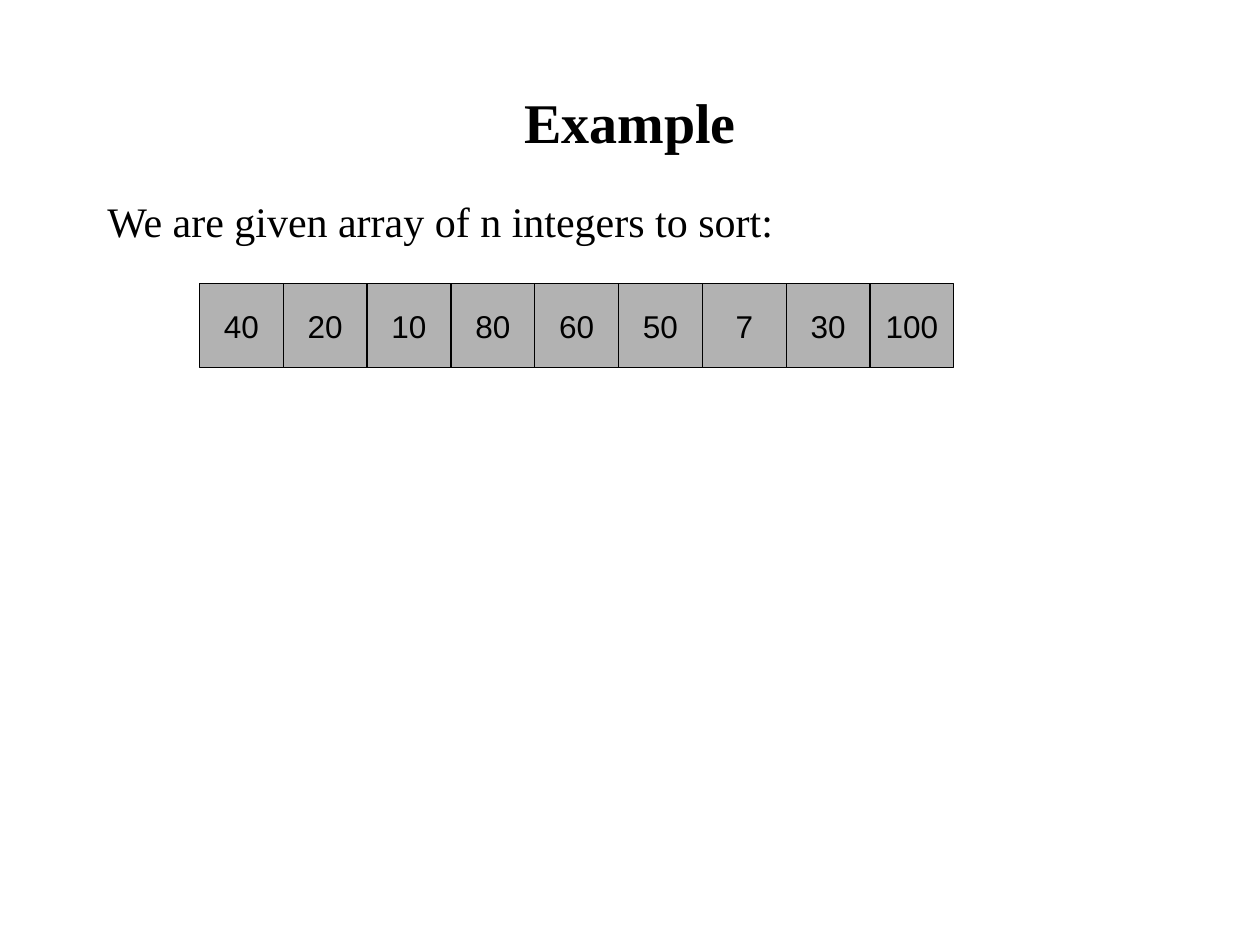
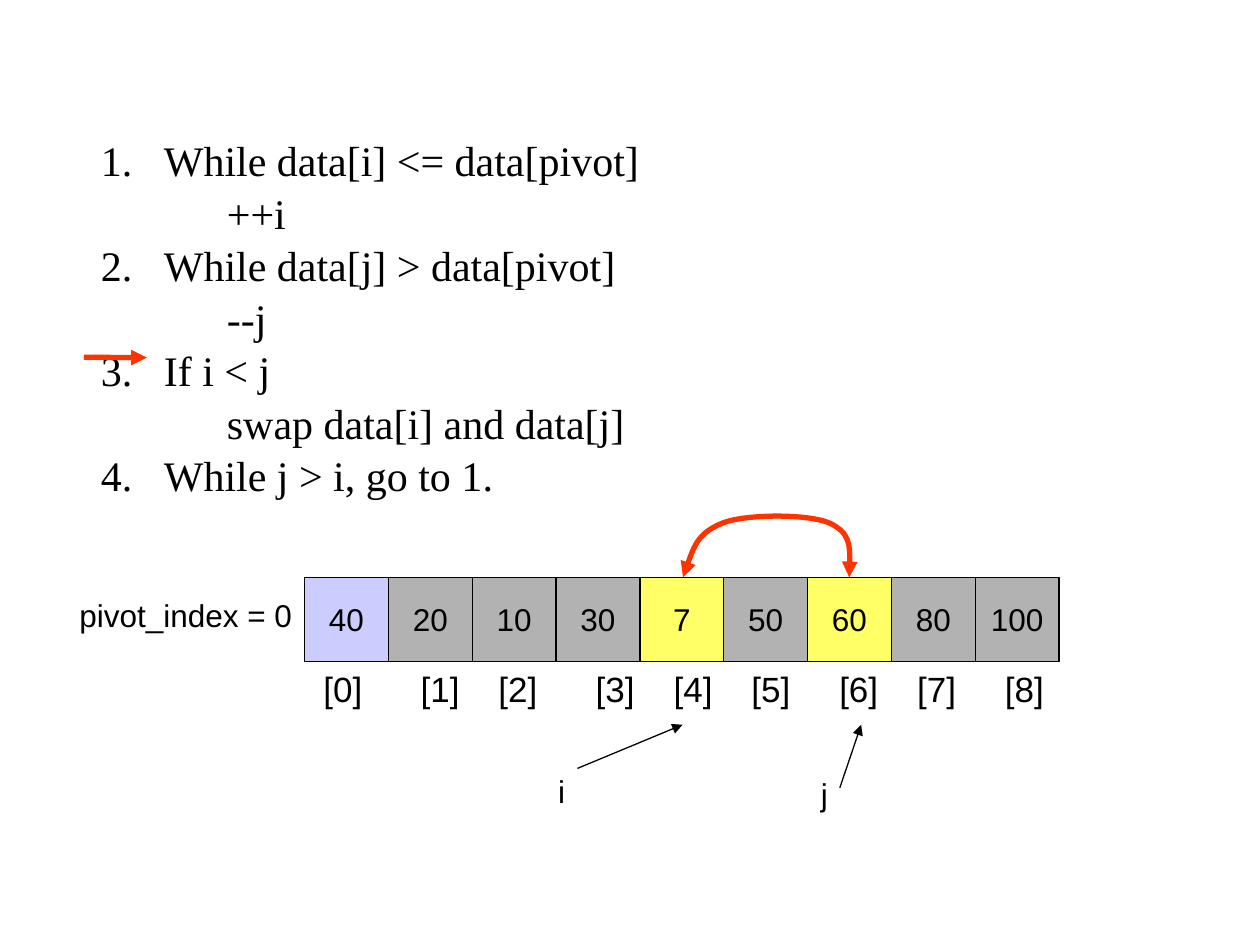
from dataclasses import dataclass
from itertools import accumulate

from lxml.etree import SubElement
from pptx import Presentation
from pptx.dml.color import RGBColor
from pptx.enum.shapes import MSO_CONNECTOR as Link, MSO_SHAPE as Preset
from pptx.enum.text import MSO_ANCHOR as Anchor, MSO_AUTO_SIZE as Fit, PP_ALIGN as Align
from pptx.oxml.ns import qn
from pptx.util import Cm, Pt

COLORS = {
    "ink": "000000",
    "plain": "B2B2B2",
    "pivot": "CCCCFF",
    "swap": "FFFF66",
    "accent": "FF3300",
}
SERIF = "Times New Roman"
SANS = "Arial"
CELL = 1.69
STEP_INDENT = 1.27


@dataclass(frozen=True)
class Array:
    left: float
    top: float
    values: tuple[int, ...]
    marks: dict[int, str]


@dataclass(frozen=True)
class Label:
    text: str
    left: float
    top: float
    width: float
    size: int = 18
    tabs: tuple[float, ...] = ()


@dataclass(frozen=True)
class Arrow:
    start: tuple[float, float]
    end: tuple[float, float]
    color: str = "ink"
    weight: float = 0.75


@dataclass(frozen=True)
class Step:
    text: str
    action: bool = False


UNSORTED = Array(4.02, 5.72, (40, 20, 10, 80, 60, 50, 7, 30, 100), {})
PARTITIONED = Array(
    6.14, 11.64, (40, 20, 10, 30, 7, 50, 60, 80, 100),
    {0: "pivot", 4: "swap", 6: "swap"},
)
STEPS = (
    Step("While data[i] <= data[pivot]"),
    Step("++i", action=True),
    Step("While data[j] > data[pivot]"),
    Step("--j", action=True),
    Step("If i < j"),
    Step("swap data[i] and data[j]", action=True),
    Step("While j > i, go to 1."),
)
INDEX_TABS = tuple(accumulate((1.96, 1.57, 1.96, 1.57, 1.57, 1.77, 1.57, 1.77)))
LABELS = (
    Label("pivot_index = 0", 1.35, 11.89, 5),
    Label("i", 11, 15.44, 8.05),
    Label("j", 16.3, 15.49, 5.92),
    Label("\t".join(f"[{i}]" for i in range(9)), 6.27, 13.34, 15.5, 20, INDEX_TABS),
)
ARROWS = (
    Arrow((16.93, 15.88), (17.36, 14.61)),
    Arrow((11.64, 15.49), (13.76, 14.61)),
    Arrow((1.69, 7.2), (2.96, 7.21), "accent", 3),
)
SWAP_CURVE = (
    (13.77, 11.64),
    (13.92, 11.18), (14.07, 10.74), (14.58, 10.54),
    (15.06, 10.36), (16.28, 10.36), (16.71, 10.54),
    (17.15, 10.74), (17.15, 11.18), (17.12, 11.64),
)


def rgb(color: str) -> RGBColor:
    return RGBColor.from_string(COLORS[color])


def place(shape, left: float, top: float, width: float, height: float) -> None:
    shape.left, shape.top = Cm(left), Cm(top)
    shape.width, shape.height = Cm(width), Cm(height)


def style(paragraph, name: str, size: int, bold: bool = False) -> None:
    font = paragraph.font
    font.name, font.size, font.bold = name, Pt(size), bold
    font.color.rgb = rgb("ink")


def set_bullet(paragraph, margin: float, hanging: float, numbered: bool) -> None:
    properties = paragraph._p.get_or_add_pPr()
    properties.set("marL", str(Cm(margin)))
    properties.set("indent", str(-Cm(hanging)))
    if numbered:
        SubElement(properties, qn("a:buFont"), typeface="+mj-lt")
        SubElement(properties, qn("a:buAutoNum"), type="arabicPeriod")
    else:
        SubElement(properties, qn("a:buNone"))


def set_line(shape, color: str, weight: float, ends: tuple[str, ...] = ()) -> None:
    shape.line.color.rgb = rgb(color)
    shape.line.width = Pt(weight)
    for end in ends:
        SubElement(shape.line._get_or_add_ln(), qn(f"a:{end}"), type="triangle")


def draw_array(slide, array: Array) -> None:
    for index, value in enumerate(array.values):
        cell = slide.shapes.add_shape(
            Preset.RECTANGLE, Cm(array.left + index * CELL), Cm(array.top), Cm(CELL), Cm(CELL)
        )
        cell.shadow.inherit = False
        cell.fill.solid()
        cell.fill.fore_color.rgb = rgb(array.marks.get(index, "plain"))
        set_line(cell, "ink", 0.75)
        frame = cell.text_frame
        frame.word_wrap = False
        frame.vertical_anchor = Anchor.MIDDLE
        frame.text = str(value)
        number = frame.paragraphs[0]
        number.alignment = Align.CENTER
        style(number, SANS, 18)


def draw_label(slide, label: Label) -> None:
    box = slide.shapes.add_textbox(Cm(label.left), Cm(label.top), Cm(label.width), Cm(1.02))
    frame = box.text_frame
    frame.word_wrap = True
    frame.text = label.text
    caption = frame.paragraphs[0]
    if label.tabs:
        stops = SubElement(caption._p.get_or_add_pPr(), qn("a:tabLst"))
        for position in label.tabs:
            SubElement(stops, qn("a:tab"), pos=str(Cm(position)), algn="l")
    style(caption, SANS, label.size)


def draw_arrow(slide, arrow: Arrow) -> None:
    ends = (Cm(value) for value in arrow.start + arrow.end)
    connector = slide.shapes.add_connector(Link.STRAIGHT, *ends)
    set_line(connector, arrow.color, arrow.weight, ("tailEnd",))
    SubElement(connector._element.spPr, qn("a:effectLst"))


def draw_swap_curve(slide) -> None:
    start, *others = [(Cm(x), Cm(y)) for x, y in SWAP_CURVE]
    builder = slide.shapes.build_freeform(*start)
    builder.add_line_segments(others, close=False)
    curve = builder.convert_to_shape()
    outline = next(curve._element.iter(qn("a:path")))
    segments = outline.findall(qn("a:lnTo"))
    for first in range(0, len(segments), 3):
        bezier = SubElement(outline, qn("a:cubicBezTo"))
        for segment in segments[first:first + 3]:
            bezier.append(segment[0])
            outline.remove(segment)
    curve.fill.background()
    set_line(curve, "accent", 3, ("headEnd", "tailEnd"))
    curve.shadow.inherit = False


def prepare_body(slide, left: float, top: float, width: float, height: float):
    body = slide.placeholders[1]
    place(body, left, top, width, height)
    body.text_frame.word_wrap = True
    body.text_frame.auto_size = Fit.NONE
    return body.text_frame


def build_example(slide) -> None:
    title = slide.shapes.title
    place(title, 1.91, 0.85, 21.59, 3.18)
    title.text_frame.text = "Example"
    title.text_frame.vertical_anchor = Anchor.MIDDLE
    heading = title.text_frame.paragraphs[0]
    heading.alignment = Align.CENTER
    style(heading, SERIF, 32, bold=True)

    frame = prepare_body(slide, 1.91, 3.81, 21.59, 11.43)
    frame.text = "We are given array of n integers to sort:"
    task = frame.paragraphs[0]
    set_bullet(task, 0.95, 0.95, numbered=False)
    task.space_before = Pt(0)
    style(task, SERIF, 24)
    draw_array(slide, UNSORTED)


def build_partition(slide) -> None:
    title = slide.shapes.title._element
    title.getparent().remove(title)

    frame = prepare_body(slide, 1.78, 2.59, 13.6, 10.41)
    for index, step in enumerate(STEPS):
        line = frame.add_paragraph() if index else frame.paragraphs[0]
        line.text = step.text
        if step.action:
            line.level = 1
            set_bullet(line, 2 * STEP_INDENT, 0, numbered=False)
        else:
            set_bullet(line, STEP_INDENT, STEP_INDENT, numbered=True)
        line.space_before = Pt(1.2 if index else 0)
        style(line, SERIF, 24)

    draw_array(slide, PARTITIONED)
    for label in LABELS:
        draw_label(slide, label)
    for arrow in ARROWS:
        draw_arrow(slide, arrow)
    draw_swap_curve(slide)


def main() -> None:
    deck = Presentation()
    deck.slide_width, deck.slide_height = Cm(25.4), Cm(19.05)
    for build in (build_example, build_partition):
        build(deck.slides.add_slide(deck.slide_layouts[1]))
    deck.save("out.pptx")


if __name__ == "__main__":
    main()
